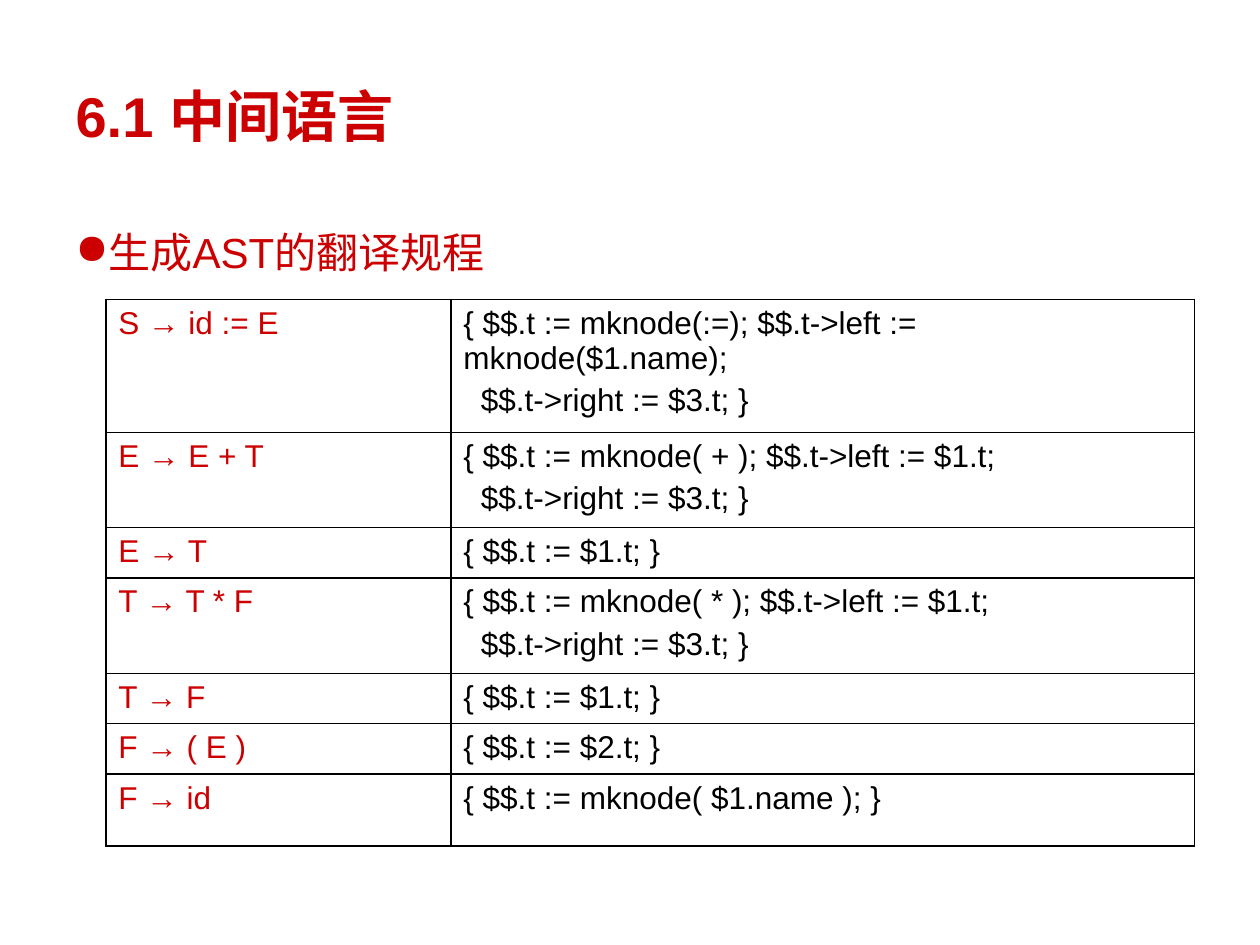
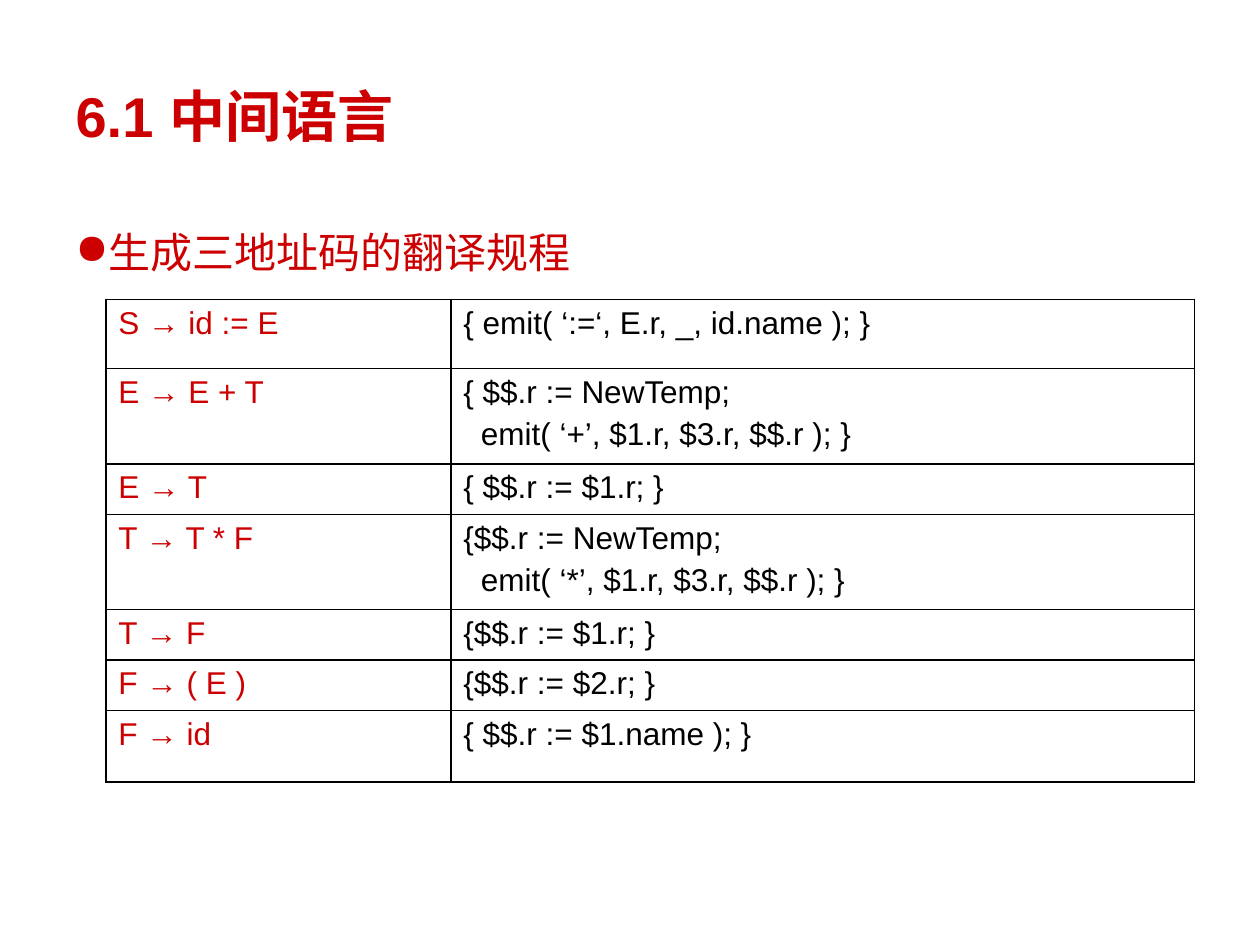
from dataclasses import dataclass

from lxml.etree import SubElement
from pptx import Presentation
from pptx.dml.color import RGBColor
from pptx.enum.text import MSO_ANCHOR, MSO_AUTO_SIZE, PP_ALIGN
from pptx.oxml import parse_xml
from pptx.oxml.ns import nsdecls, qn
from pptx.util import Pt


@dataclass(frozen=True)
class Theme:
    font: str = "Arial"
    accent: str = "CC0000"
    ink: str = "000000"
    title_size: int = 32
    topic_size: int = 24
    cell_size: int = 18
    line_gap: int = 4
    border: int = 1


THEME = Theme()
TITLE = "6.1 中间语言"

# Boxes: left, top, width, height in points
PAGE_SIZE = (720, 540)
TITLE_BOX = (36, 36, 450, 60)
TOPIC_BOX = (36, 126, 642, 42)
RULES_BOX = (60.5, 171, 622, 244)

PRODUCTION_SHARE = 0.317
ROW_HEIGHTS = (39.6, 35.3, 25.9, 44.6, 25.2, 25.2, 41)

PRODUCTIONS = (
    "S → id := E", "E → E + T", "E → T", "T → T * F",
    "T → F", "F → ( E )", "F → id",
)

# Topic and the semantic action of each production
SCHEMES = (
    ("生成AST的翻译规程", (
        "{ $$.t := mknode(:=); $$.t->left := mknode($1.name);\n"
        "  $$.t->right := $3.t; }",
        "{ $$.t := mknode( + ); $$.t->left := $1.t;\n  $$.t->right := $3.t; }",
        "{ $$.t := $1.t; }",
        "{ $$.t := mknode( * ); $$.t->left := $1.t;\n  $$.t->right := $3.t; }",
        "{ $$.t := $1.t; }",
        "{ $$.t := $2.t; }",
        "{ $$.t := mknode( $1.name ); }",
    )),
    ("生成三地址码的翻译规程", (
        "{ emit( ‘:=‘, E.r, _, id.name ); }",
        "{ $$.r := NewTemp;\n  emit( ‘+’, $1.r, $3.r, $$.r ); }",
        "{ $$.r := $1.r; }",
        "{$$.r := NewTemp;\n  emit( ‘*’, $1.r, $3.r, $$.r ); }",
        "{$$.r := $1.r; }",
        "{$$.r := $2.r; }",
        "{ $$.r := $1.name ); }",
    )),
)


def set_attributes(target, values):
    for name, value in values.items():
        setattr(target, name, value)


def write_lines(frame, text, size, color, bold=False, bullet=None):
    for index, line in enumerate(text.split("\n")):
        para = frame.add_paragraph() if index else frame.paragraphs[0]
        if bullet:
            SubElement(para._p.get_or_add_pPr(), qn("a:buChar"), char=bullet)
        set_attributes(para, {
            "alignment": PP_ALIGN.LEFT,
            "space_before": Pt(THEME.line_gap if index else 0),
        })
        span = para.add_run()
        span.text = line
        set_attributes(span.font, {
            "name": THEME.font, "size": Pt(size), "bold": bold})
        span.font.color.rgb = RGBColor.from_string(color)


def add_title(page, box):
    title = page.shapes.title
    set_attributes(title, dict(zip(("left", "top", "width", "height"), map(Pt, box))))
    set_attributes(title.text_frame, {
        "word_wrap": True,
        "auto_size": MSO_AUTO_SIZE.NONE,
        "vertical_anchor": MSO_ANCHOR.MIDDLE,
    })
    write_lines(title.text_frame, TITLE, THEME.title_size, THEME.accent, bold=True)


def add_topic(page, box, topic):
    frame = page.shapes.add_textbox(*map(Pt, box)).text_frame
    frame.word_wrap = True
    write_lines(frame, topic, THEME.topic_size, THEME.accent, bullet="●")


def add_borders(cell):
    properties = cell._tc.get_or_add_tcPr()
    # Border elements must come before the cell fill
    for index, side in enumerate("LRTB"):
        properties.insert(index, parse_xml(
            f'<a:ln{side} {nsdecls("a")} w="{Pt(THEME.border)}"><a:solidFill>'
            f'<a:srgbClr val="{THEME.ink}"/></a:solidFill></a:ln{side}>'))


def add_rules_table(page, box, actions):
    left, top, width, height = box
    table = page.shapes.add_table(
        len(PRODUCTIONS), 2, Pt(left), Pt(top), Pt(width), Pt(height)).table
    set_attributes(table, {"first_row": False, "horz_banding": False})
    for column, share in zip(table.columns, (PRODUCTION_SHARE, 1 - PRODUCTION_SHARE)):
        column.width = Pt(width * share)
    for row, row_height, *texts in zip(table.rows, ROW_HEIGHTS, PRODUCTIONS, actions):
        row.height = Pt(row_height)
        for cell, text, color in zip(row.cells, texts, (THEME.accent, THEME.ink)):
            cell.fill.background()
            add_borders(cell)
            write_lines(cell.text_frame, text, THEME.cell_size, color)


def add_scheme_page(deck, topic, actions):
    page = deck.slides.add_slide(deck.slide_layouts.get_by_name("Title Only"))
    add_title(page, TITLE_BOX)
    add_topic(page, TOPIC_BOX, topic)
    add_rules_table(page, RULES_BOX, actions)


def main():
    deck = Presentation()
    deck.slide_width, deck.slide_height = map(Pt, PAGE_SIZE)
    for topic, actions in SCHEMES:
        add_scheme_page(deck, topic, actions)
    deck.save("out.pptx")


if __name__ == "__main__":
    main()
